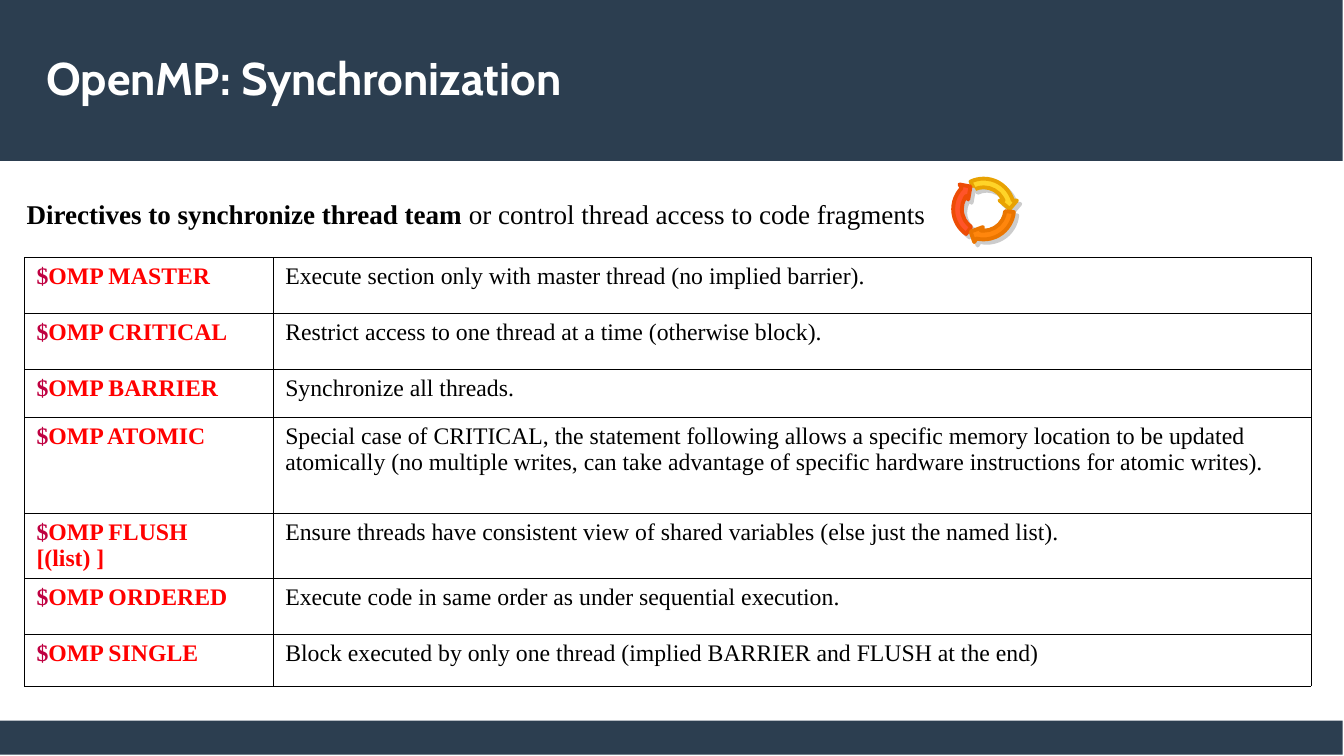
from lxml import etree
from pptx import Presentation
from pptx.dml.color import RGBColor
from pptx.enum.shapes import MSO_SHAPE
from pptx.enum.text import MSO_ANCHOR, MSO_AUTO_SIZE, PP_ALIGN
from pptx.oxml.ns import qn
from pptx.util import Inches, Pt

RECT = MSO_SHAPE.RECTANGLE
ARROW = MSO_SHAPE.CIRCULAR_ARROW
MIDDLE = MSO_ANCHOR.MIDDLE
LEFT = PP_ALIGN.LEFT
FIXED = MSO_AUTO_SIZE.NONE

NAVY = RGBColor(0x2C, 0x3E, 0x50)
WHITE = RGBColor(0xFF, 0xFF, 0xFF)
BLACK = RGBColor(0, 0, 0)
RED = RGBColor(0xFF, 0, 0)
PLUM = RGBColor(0xBF, 0, 0x41)
GREY = RGBColor(0xCC, 0xCC, 0xCC)
GOLD, AMBER = RGBColor(0xFF, 0xD4, 0x28), RGBColor(0xE8, 0xA2, 0x02)
CORAL, RUST = RGBColor(0xFF, 0x54, 0x29), RGBColor(0xED, 0x4C, 0x05)
ORANGE, BROWN = RGBColor(0xFF, 0x86, 0x0D), RGBColor(0xEA, 0x75, 0x00)

SANS, SERIF = "Cabin", "Times New Roman"
WIDTH, HEIGHT = Inches(11.02), Inches(6.2)
COLS = (18.51, 77.22)
ROWS = (
    (7.42, "OMP MASTER", "Execute section only with master thread (no implied barrier)."),
    (7.42, "OMP CRITICAL", "Restrict access to one thread at a time (otherwise block)."),
    (6.29, "OMP BARRIER", "Synchronize all threads."),
    (12.74, "OMP ATOMIC",
     "Special case of CRITICAL, the statement following allows a specific memory "
     "location to be updated atomically (no multiple writes, can take advantage "
     "of specific hardware instructions for atomic writes)."),
    (8.6, "OMP FLUSH [(list) ]",
     "Ensure threads have consistent view of shared variables (else just the named list)."),
    (7.42, "OMP ORDERED", "Execute code in same order as under sequential execution."),
    (6.8, "OMP SINGLE",
     "Block executed by only one thread (implied BARRIER and FLUSH at the end)"),
)
ARCS = (
    (0, 146.73, GOLD, AMBER),
    (240, 147, CORAL, RUST),
    (120, 147.43, ORANGE, BROWN),
)


def across(share):
    """Return a percentage of the slide's width."""
    return round(WIDTH * share / 100)


def down(share):
    """Return a percentage of the slide's height."""
    return round(HEIGHT * share / 100)


def box(left, top, width, height):
    """Turn four percentages into a place on the slide."""
    return across(left), down(top), across(width), down(height)


def add_run(para, text, size, color, bold=False, font=SERIF):
    """Add one formatted run to a paragraph."""
    run = para.add_run()
    run.text = text
    run.font.size = Pt(size)
    run.font.name = font
    run.font.bold = bold
    run.font.color.rgb = color


def add_bar(slide, top, height):
    """Draw a navy band over the full width."""
    bar = slide.shapes.add_shape(RECT, *box(0, top, 99.9, height))
    bar.shadow.inherit = False
    bar.fill.solid()
    bar.fill.fore_color.rgb = NAVY
    bar.line.fill.background()


def set_title(slide, text):
    """Place the title on top of the header band."""
    title = slide.shapes.title
    slide.shapes._spTree.append(title._element)
    title.left, title.top, title.width, title.height = box(3.45, 4.03, 92.74, 12.42)
    frame = title.text_frame
    frame.auto_size = FIXED
    frame.vertical_anchor = MIDDLE
    frame.margin_left = frame.margin_right = 0
    frame.margin_top = frame.margin_bottom = 0
    para = frame.paragraphs[0]
    para.alignment = LEFT
    add_run(para, text, 27, WHITE, True, SANS)


def add_intro(slide, lead, rest):
    """Write the line above the table, its lead in bold."""
    frame = slide.shapes.add_textbox(*box(1.09, 25.32, 83.21, 6.13)).text_frame
    frame.word_wrap = True
    para = frame.paragraphs[0]
    add_run(para, lead, 16, BLACK, True)
    add_run(para, rest, 16, BLACK)


def style_cell(cell):
    """Give a cell hairline borders and a white fill."""
    props = cell._tc.get_or_add_tcPr()
    for side in ("a:lnL", "a:lnR", "a:lnT", "a:lnB"):
        line = etree.SubElement(props, qn(side), w=str(Pt(0.06)))
        fill = etree.SubElement(line, qn("a:solidFill"))
        etree.SubElement(fill, qn("a:srgbClr"), val=str(BLACK))
    cell.fill.solid()
    cell.fill.fore_color.rgb = WHITE


def add_grid(slide):
    """Build the table of directives."""
    place = box(1.81, 34.03, sum(COLS), sum(row[0] for row in ROWS))
    table = slide.shapes.add_table(len(ROWS), len(COLS), *place).table
    table.first_row = table.horz_banding = False
    for col, share in zip(table.columns, COLS):
        col.width = across(share)
    for row, (share, name, text) in zip(table.rows, ROWS):
        row.height = down(share)
        key, note = row.cells
        para = key.text_frame.paragraphs[0]
        add_run(para, "$", 14, PLUM, True)
        add_run(para, name, 14, RED, True)
        add_run(note.text_frame.paragraphs[0], text, 14, BLACK)
        style_cell(key)
        style_cell(note)


def add_shade(shape):
    """Cast a hard grey shadow down and to the right."""
    shape.shadow.inherit = False
    effects = shape._element.spPr.find(qn("a:effectLst"))
    shade = etree.SubElement(effects, qn("a:outerShdw"), blurRad="0",
                             dist=str(Pt(2.8)), dir="2700000", rotWithShape="0")
    etree.SubElement(shade, qn("a:srgbClr"), val=str(GREY))


def add_cycle(slide):
    """Draw a ring of three curved arrows."""
    ring = slide.shapes.add_group_shape()
    side = across(5.17)
    for turn, start, fill, edge in ARCS:
        arc = ring.shapes.add_shape(ARROW, across(70.6), down(23.06), side, side)
        for index, value in enumerate((0.125, 11.42, 204.58, start, 0.125)):
            arc.adjustments[index] = value
        arc.rotation = turn
        arc.fill.solid()
        arc.fill.fore_color.rgb = fill
        arc.line.color.rgb = edge
        arc.line.width = Pt(2.3)
        add_shade(arc)


def main():
    """Build the slide and save it."""
    deck = Presentation()
    deck.slide_width, deck.slide_height = WIDTH, HEIGHT
    slide = deck.slides.add_slide(deck.slide_layouts[5])
    add_bar(slide, 95.32, 4.52)
    add_bar(slide, 0, 21.29)
    set_title(slide, "OpenMP: Synchronization")
    add_grid(slide)
    add_intro(slide, "Directives to synchronize thread team",
              " or control thread access to code fragments")
    add_cycle(slide)
    deck.save("out.pptx")


if __name__ == "__main__":
    main()
